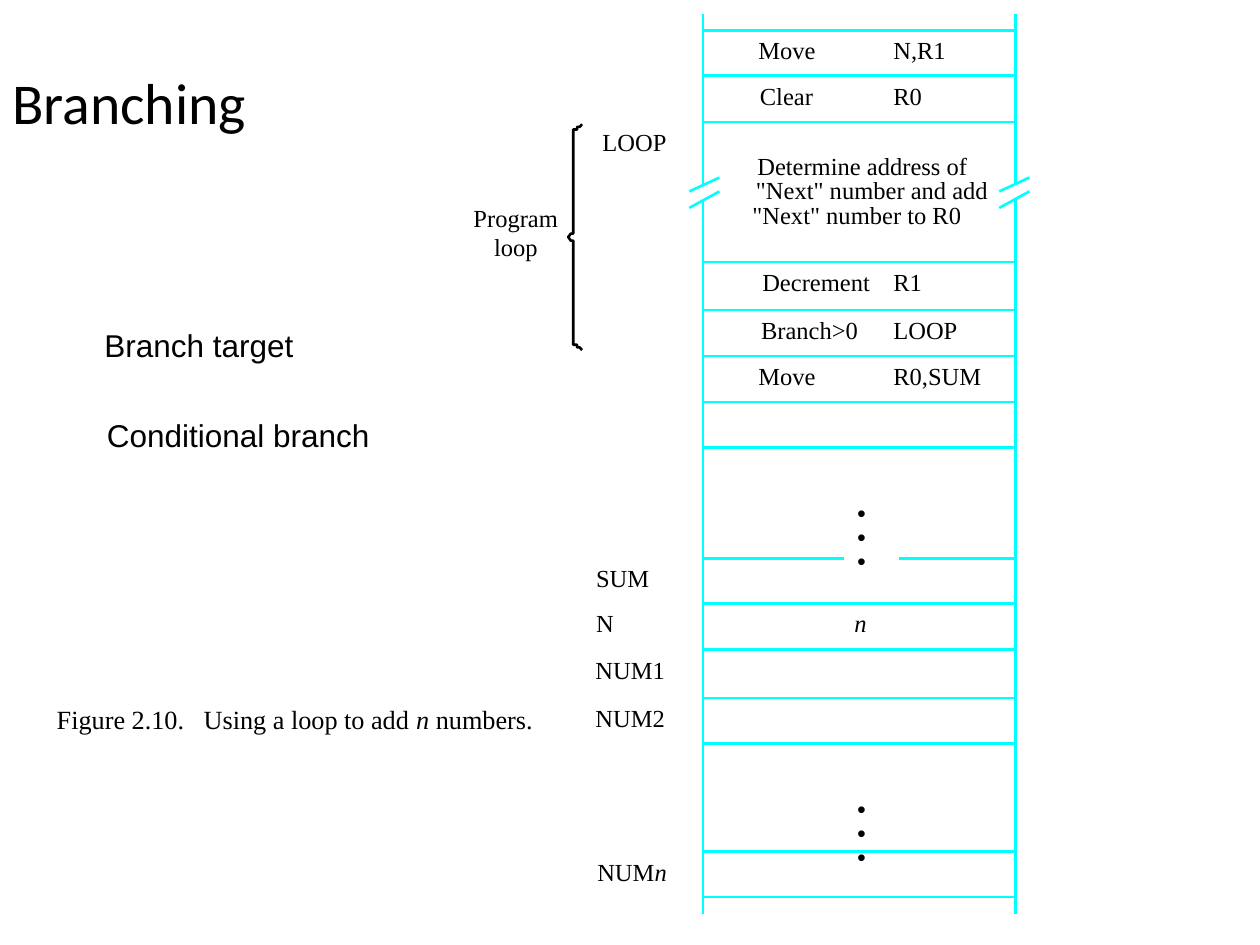
from lxml.etree import SubElement
from pptx import Presentation
from pptx.dml.color import RGBColor
from pptx.enum.shapes import MSO_CONNECTOR, MSO_SHAPE
from pptx.enum.text import MSO_ANCHOR, MSO_AUTO_SIZE, PP_ALIGN
from pptx.oxml.ns import qn
from pptx.util import Pt

COLORS = {"text": "000000", "memory": "00FFFF", "paper": "FFFFFF"}
SERIF = "Times New Roman"
MEMORY_LEFT, MEMORY_RIGHT = 401.8, 580.3
MEMORY_TOP, MEMORY_BOTTOM = 8, 522
BREAK_TOP, BREAK_BOTTOM = 105.1, 113.8
ROW_LINES = [17.3, 43.2, 69.8, 149.8, 177.1, 203.4, 229.7, 255.6,
             319, 344.9, 371.2, 398.9, 424.8, 486.7, 512.6]
LABEL_OFFSET = 2.8
OPERAND_LEFT = 510.5
INSTRUCTIONS = [
    (0, "Move", 433.4, 36, "N,R1", 33),
    (1, "Clear", 434.2, 34, "R0", 20),
    (3, "Decrement", 435.6, 65, "R1", 20),
    (4, "Branch>0", 434.9, 60, "LOOP", 40),
    (5, "Move", 433.4, 36, "R0,SUM", 55),
]
ADDRESSES = [
    (2, ["LOOP"], 344.2, 40),
    (8, ["SUM"], 340.6, 35),
    (9, ["N"], 340.6, 13),
    (10, ["NUM1"], 340.2, 43),
    (11, ["NUM2"], 340.2, 43),
    (13, ["NUM", "n"], 341.3, 43),
]
COMMENTS = [
    ("Determine address of", 432.8, 86.4, 124),
    ('"Next" number and add', 432, 100.2, 136),
    ('"Next" number to R0', 430, 114.4, 124),
    ("Program", 270.6, 115.8, 52),
    ("loop", 282.4, 132.6, 29),
]
BRACE_MIDDLE = 135.5
BRACE_HALF = [(332.6, 64.5), (331.2, 63), (329.8, 63), (329.8, 61.5),
              (327.6, 61.5), (327.6, 2), (326.2, 2)]
BRACE_TIP = (324.7, 0)


def color(name):
    """Return the named palette colour."""
    return RGBColor.from_string(COLORS[name])


def style_runs(paragraph, size, font_name=SERIF):
    """Apply font, size and text colour to every run of a paragraph."""
    for run in paragraph.runs:
        run.font.name = font_name
        run.font.size = Pt(size)
        run.font.color.rgb = color("text")


def add_text_box(slide, left, top, width, height, inset=0):
    """Add an unwrapped text box and return its text frame."""
    box = slide.shapes.add_textbox(Pt(left), Pt(top), Pt(width), Pt(height))
    frame = box.text_frame
    frame.word_wrap = False
    frame.auto_size = MSO_AUTO_SIZE.SHAPE_TO_FIT_TEXT
    frame.margin_left = frame.margin_right = Pt(2 * inset)
    frame.margin_top = frame.margin_bottom = Pt(inset)
    return frame


def add_label(slide, parts, left, top, width, size=14):
    """Add one line of serif text in which the variable n is italic."""
    paragraph = add_text_box(slide, left, top, width, size * 1.18).paragraphs[0]
    for part in parts:
        run = paragraph.add_run()
        run.text = part
        run.font.italic = part == "n"
    style_runs(paragraph, size)


def add_note(slide, text, left, top, width):
    """Add a sans-serif side note."""
    frame = add_text_box(slide, left, top, width, 28.8, inset=3.6)
    frame.text = text
    style_runs(frame.paragraphs[0], 18, "Arial")


def add_title(slide, text):
    """Add the slide title."""
    frame = add_text_box(slide, 0, 9.4, 594, 102.2, inset=3.6)
    frame.word_wrap = True
    frame.auto_size = MSO_AUTO_SIZE.NONE
    frame.vertical_anchor = MSO_ANCHOR.MIDDLE
    frame.text = text
    frame.paragraphs[0].line_spacing = 0.9
    style_runs(frame.paragraphs[0], 33, "Calibri")


def add_line(slide, x1, y1, x2, y2):
    """Add a straight memory outline segment."""
    line = slide.shapes.add_connector(
        MSO_CONNECTOR.STRAIGHT, Pt(x1), Pt(y1), Pt(x2), Pt(y2))
    line.line.color.rgb = color("memory")
    line.line.width = Pt(1.5)
    SubElement(line._element.spPr, qn("a:effectLst"))


def add_side(slide, x, mark_center):
    """Add one vertical memory edge with its slanted break marks."""
    add_line(slide, x, MEMORY_TOP, x, BREAK_TOP)
    add_line(slide, x, BREAK_BOTTOM, x, MEMORY_BOTTOM)
    for upper, lower in ((101.5, 109.4), (109.4, 118.8)):
        add_line(slide, mark_center - 8.6, lower, mark_center + 8.6, upper)


def add_ellipsis(slide, top):
    """Add a white block holding three vertical dots."""
    block = slide.shapes.add_shape(
        MSO_SHAPE.RECTANGLE, Pt(482.4), Pt(top), Pt(31), Pt(72.7))
    block.shadow.inherit = False
    block.fill.solid()
    block.fill.fore_color.rgb = color("paper")
    block.line.color.rgb = color("paper")
    block.line.width = Pt(0.75)
    frame = block.text_frame
    frame.vertical_anchor = MSO_ANCHOR.TOP
    frame.margin_top, frame.margin_bottom = Pt(30.3), Pt(0)
    frame.text = "•\n•\n•"
    for paragraph in frame.paragraphs:
        paragraph.alignment = PP_ALIGN.LEFT
        paragraph.line_spacing = Pt(13.7)
        style_runs(paragraph, 16)


def add_brace(slide):
    """Add the brace, its lower half mirroring the upper half."""
    upper = [(x, BRACE_MIDDLE - offset) for x, offset in BRACE_HALF]
    lower = [(x, BRACE_MIDDLE + offset) for x, offset in reversed(BRACE_HALF)]
    tip = (BRACE_TIP[0], BRACE_MIDDLE)
    points = [(Pt(x), Pt(y)) for x, y in upper + [tip] + lower]
    builder = slide.shapes.build_freeform(*points[0])
    builder.add_line_segments(points[1:], close=False)
    brace = builder.convert_to_shape()
    brace.shadow.inherit = False
    brace.fill.background()
    brace.line.color.rgb = color("text")
    brace.line.width = Pt(1.5)


def main():
    """Build and save the slide."""
    presentation = Presentation()
    presentation.slide_width, presentation.slide_height = Pt(720), Pt(540)
    slide = presentation.slides.add_slide(presentation.slide_layouts[6])

    add_title(slide, "Branching")
    add_side(slide, MEMORY_LEFT, MEMORY_LEFT + 0.7)
    add_side(slide, MEMORY_RIGHT, MEMORY_RIGHT - 0.7)
    for y in ROW_LINES[:-2]:
        add_line(slide, MEMORY_LEFT, y, MEMORY_RIGHT, y)
    for top in (258.5, 427.7):
        add_ellipsis(slide, top)
    for y in ROW_LINES[-2:]:
        add_line(slide, MEMORY_LEFT, y, MEMORY_RIGHT, y)

    for row, operation, left, width, operand, operand_width in INSTRUCTIONS:
        top = ROW_LINES[row] + LABEL_OFFSET
        add_label(slide, [operation], left, top, width)
        add_label(slide, [operand], OPERAND_LEFT, top, operand_width)
    for row, parts, left, width in ADDRESSES:
        add_label(slide, parts, left, ROW_LINES[row] + LABEL_OFFSET, width)
    add_label(slide, ["n"], 488.2, ROW_LINES[9] + LABEL_OFFSET, 8)
    for text, left, top, width in COMMENTS:
        add_label(slide, [text], left, top, width)

    add_brace(slide)
    add_note(slide, "Branch target", 52.6, 182.9, 126)
    add_note(slide, "Conditional branch", 54, 234, 170)
    add_label(slide, ["Figure 2.10.   Using a loop to add ", "n", " numbers."],
              32.4, 401.8, 276, size=15)
    presentation.save("out.pptx")


if __name__ == "__main__":
    main()
